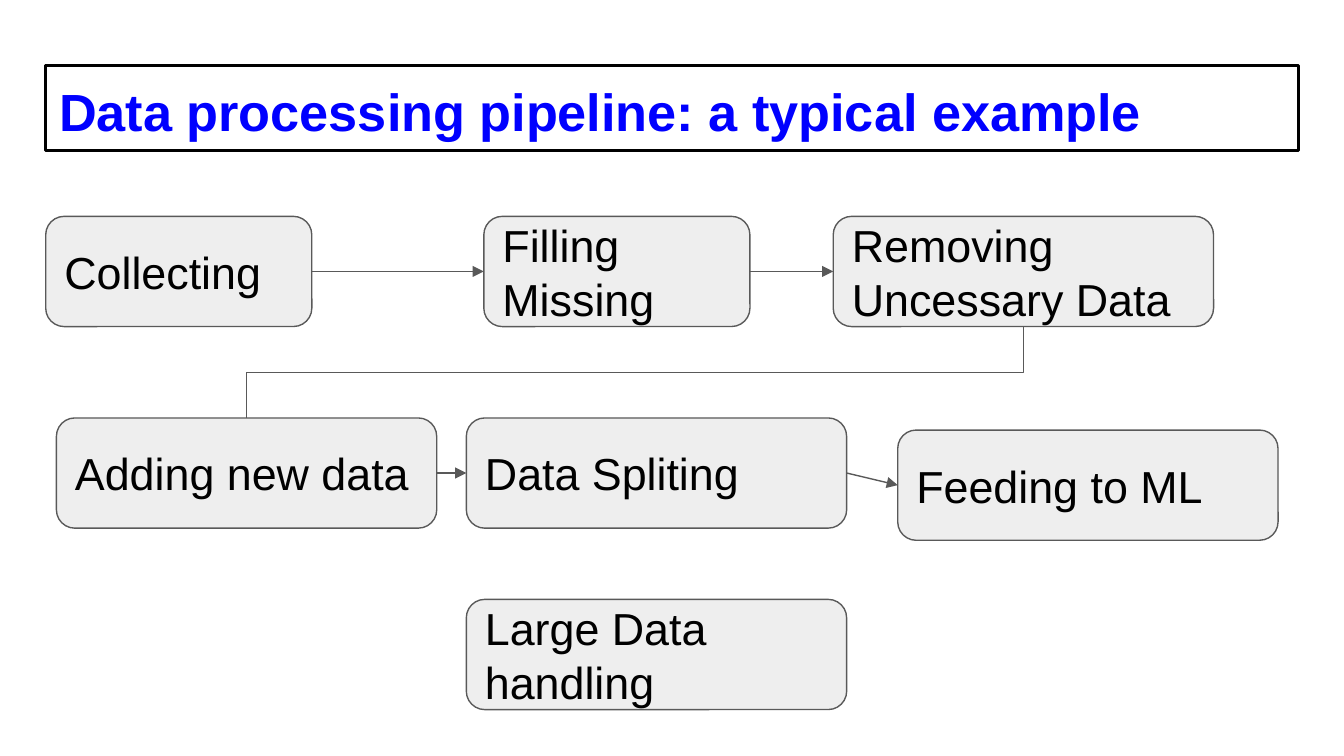
"""Build the data processing pipeline slide."""
import dataclasses

import lxml.etree
import pptx
import pptx.dml.color
import pptx.enum.shapes
import pptx.enum.text
import pptx.oxml.ns
import pptx.util

Inches = pptx.util.Inches
Pt = pptx.util.Pt
Color = pptx.dml.color.RGBColor
Kind = pptx.enum.shapes.MSO_CONNECTOR
Anchor = pptx.enum.text.MSO_ANCHOR
qn = pptx.oxml.ns.qn

BLACK = Color(0x00, 0x00, 0x00)
BLUE = Color(0x00, 0x00, 0xFF)
GREY = Color(0x59, 0x59, 0x59)
PALE = Color(0xEE, 0xEE, 0xEE)
TOP, LEFT, BOTTOM, RIGHT = range(4)


@dataclasses.dataclass
class Step:
    text: str
    left: float
    top: float
    width: float = 2.83


STEPS = [
    Step("Collecting", 0.34, 1.61, 1.98),
    Step("Filling Missing", 3.6, 1.61, 1.98),
    Step("Removing Uncessary Data", 6.2, 1.61),
    Step("Adding new data", 0.42, 3.11),
    Step("Data Spliting", 3.47, 3.11),
    Step("Feeding to ML", 6.68, 3.2),
    Step("Large Data handling", 3.47, 4.46),
]
ARROWS = [(0, 1), (1, 2), (3, 4), (4, 5)]


def write(shape, text: str, size: int, color: Color, anchor: Anchor, bold: bool = False) -> None:
    """Fill a shape with left-aligned text."""
    frame = shape.text_frame
    frame.text = text
    frame.word_wrap = True
    frame.auto_size = pptx.enum.text.MSO_AUTO_SIZE.NONE
    frame.vertical_anchor = anchor
    frame.margin_left = frame.margin_right = Inches(0.1)
    frame.margin_top = frame.margin_bottom = Inches(0.1)
    para = frame.paragraphs[0]
    para.alignment = pptx.enum.text.PP_ALIGN.LEFT
    font = para.runs[0].font
    font.name, font.size, font.bold = "Arial", Pt(size), bold
    font.color.rgb = color


def add_step(slide, step: Step):
    """Draw one rounded step box."""
    box = slide.shapes.add_shape(
        pptx.enum.shapes.MSO_SHAPE.ROUNDED_RECTANGLE,
        Inches(step.left), Inches(step.top), Inches(step.width), Inches(0.82))
    box.shadow.inherit = False
    box.fill.solid()
    box.fill.fore_color.rgb = PALE
    box.line.color.rgb = GREY
    box.line.width = Pt(0.75)
    write(box, step.text, 24, BLACK, Anchor.MIDDLE)
    return box


def add_link(slide, kind: Kind, start, begin: int, end, finish: int):
    """Join two boxes with a thin line."""
    link = slide.shapes.add_connector(kind, 0, 0, 0, 0)
    link.begin_connect(start, begin)
    link.end_connect(end, finish)
    link.line.color.rgb = GREY
    link.line.width = Pt(0.75)
    lxml.etree.SubElement(link._element.spPr, qn("a:effectLst"))
    return link


def add_arrow(slide, start, end) -> None:
    """Point from the right of one box to the left of the next."""
    link = add_link(slide, Kind.STRAIGHT, start, RIGHT, end, LEFT)
    line = link._element.spPr.find(qn("a:ln"))
    tail = lxml.etree.SubElement(line, qn("a:tailEnd"))
    tail.set("type", "triangle")


def add_bend(slide, start, end) -> None:
    """Lead from the bottom of one box down and left to the top of another."""
    link = add_link(slide, Kind.ELBOW, start, BOTTOM, end, TOP)
    span = start.left + start.width // 2 - end.left - end.width // 2
    head = start.top + start.height
    drop = end.top - head
    link.left = end.left + end.width // 2 + (span - drop) // 2
    link.top = head + (drop - span) // 2
    link.width, link.height = drop, span
    frame = link._element.spPr.find(qn("a:xfrm"))
    frame.attrib.pop("flipH", None)
    frame.set("rot", "5400000")


def main() -> None:
    """Build and save the deck."""
    deck = pptx.Presentation()
    deck.slide_width = Inches(10)
    deck.slide_height = deck.slide_width * 9 // 16
    slide = deck.slides.add_slide(deck.slide_layouts[5])
    title = slide.shapes.title
    title.left, title.top = Inches(0.34), Inches(0.49)
    title.width, title.height = Inches(9.32), Inches(0.63)
    title.line.color.rgb = BLACK
    title.line.width = Pt(1.5)
    write(title, "Data processing pipeline: a typical example", 28, BLUE, Anchor.TOP, True)
    boxes = [add_step(slide, step) for step in STEPS]
    for start, end in ARROWS:
        add_arrow(slide, boxes[start], boxes[end])
    add_bend(slide, boxes[2], boxes[3])
    deck.save("out.pptx")


main()
